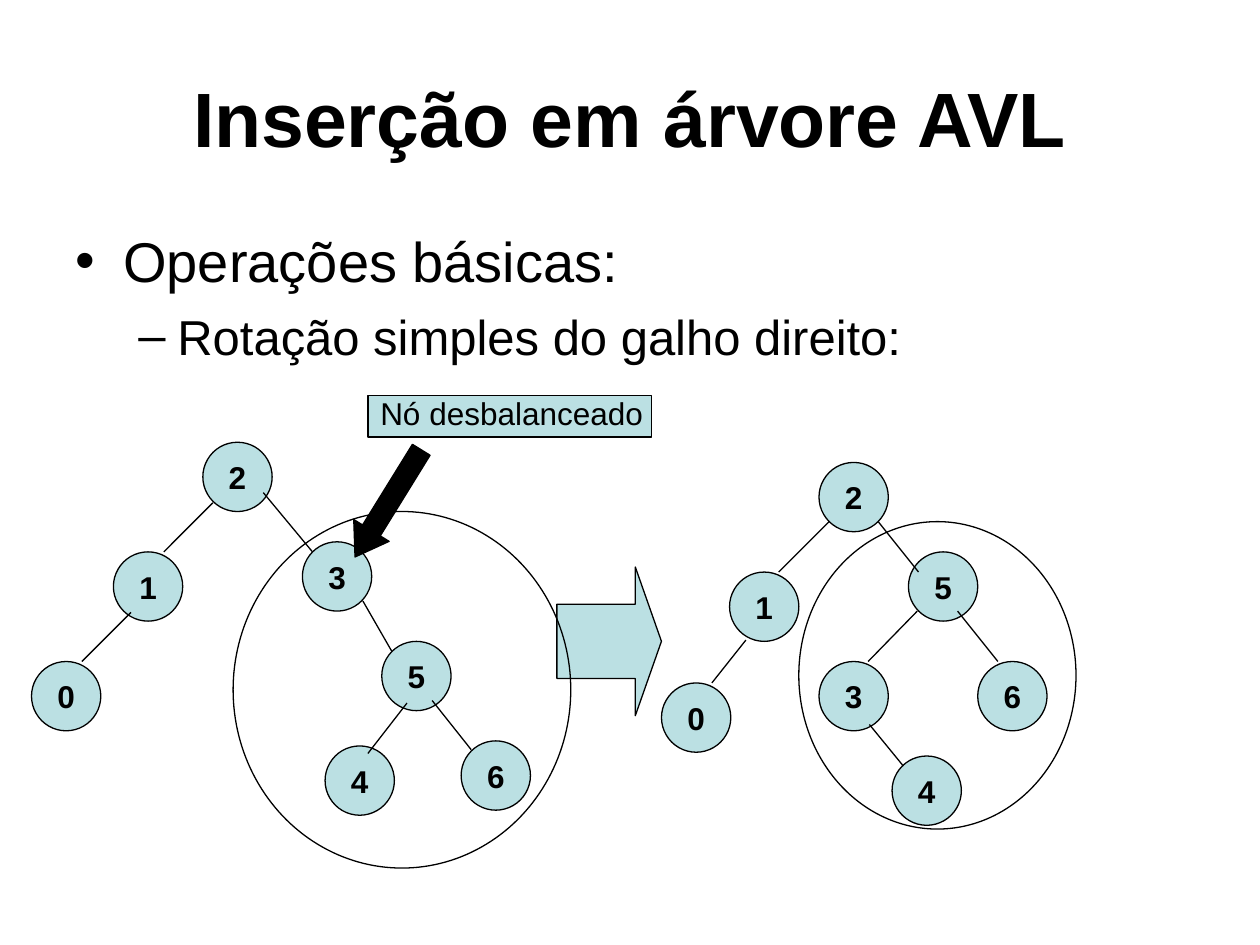
"""Build a slide showing a simple rotation of the right branch of an AVL tree."""
from dataclasses import dataclass

from lxml.etree import SubElement
from pptx import Presentation
from pptx.dml.color import RGBColor
from pptx.enum.shapes import MSO_CONNECTOR, MSO_SHAPE
from pptx.enum.text import MSO_ANCHOR, MSO_AUTO_SIZE, PP_ALIGN
from pptx.oxml.ns import qn
from pptx.util import Inches, Pt


@dataclass(frozen=True)
class Theme:
    font: str = "Arial"
    ink: RGBColor = RGBColor(0, 0, 0)
    accent: RGBColor = RGBColor(0xBB, 0xE0, 0xE3)
    title: int = 44
    bullet: int = 32
    subbullet: int = 28
    label: int = 18
    stroke: float = 0.75


theme = Theme()
deck = Presentation()
deck.slide_width, deck.slide_height = Inches(10), Inches(7.5)
column, row = deck.slide_width / 10, deck.slide_height / 7.5
page = deck.slides.add_slide(deck.slide_layouts[5])


def write(para, text, size=theme.label, bold=False, align=PP_ALIGN.LEFT, before=0):
    span = para.add_run()
    span.text = text
    span.font.name, span.font.size, span.font.bold = theme.font, Pt(size), bold
    span.font.color.rgb = theme.ink
    para.alignment, para.space_before = align, Pt(before)


def draw(kind, left, top, width, height, fill=None):
    shape = page.shapes.add_shape(
        kind, int(left * column), int(top * row), int(width * column), int(height * row)
    )
    shape.shadow.inherit = False
    shape.line.color.rgb, shape.line.width = theme.ink, Pt(theme.stroke)
    if fill is None:
        shape.fill.background()
    else:
        shape.fill.solid()
        shape.fill.fore_color.rgb = fill
    return shape


title = page.shapes.title
title.left, title.top = int(0.5 * column), int(0.3 * row)
title.width, title.height = int(9 * column), int(1.25 * row)
title.text_frame.auto_size = MSO_AUTO_SIZE.NONE
title.text_frame.vertical_anchor = MSO_ANCHOR.MIDDLE
write(title.text_frame.paragraphs[0], "Inserção em árvore AVL",
      size=theme.title, bold=True, align=PP_ALIGN.CENTER)

body = page.shapes.add_textbox(
    int(0.5 * column), int(1.75 * row), int(9 * column), int(4.95 * row)
).text_frame
body.word_wrap = True
bullets = [
    ("Operações básicas:", theme.bullet, 8, "•", 0.38, 0.38),
    ("Rotação simples do galho direito:", theme.subbullet, 7, "–", 0.81, 0.31),
]
for level, (text, size, before, mark, margin, hanging) in enumerate(bullets):
    para = body.add_paragraph() if level else body.paragraphs[0]
    write(para, text, size=size, before=before)
    para.level = level
    properties = para._p.get_or_add_pPr()
    properties.set("marL", str(int(margin * column)))
    properties.set("indent", str(int(-hanging * column)))
    SubElement(properties, qn("a:buFont"), typeface=theme.font)
    SubElement(properties, qn("a:buChar"), char=mark)

step_arrow = draw(MSO_SHAPE.RIGHT_ARROW, 4.42, 4.5, 0.83, 1.18, fill=theme.accent)
step_arrow.adjustments[0], step_arrow.adjustments[1] = 0.5, 0.25

node_size = 0.55
unbalanced_tree = [
    ("3", 2.4, 4.3), ("5", 3.03, 5.09), ("6", 3.66, 5.88), ("1", 0.9, 4.38),
    ("2", 1.61, 3.51), ("4", 2.58, 5.92), ("0", 0.25, 5.25),
]
rotated_tree = [
    ("3", 6.5, 5.25), ("5", 7.21, 4.38), ("6", 7.76, 5.25), ("1", 5.79, 4.54),
    ("2", 6.5, 3.67), ("4", 7.08, 6), ("0", 5.25, 5.42),
]
for key, left, top in unbalanced_tree + rotated_tree:
    node = draw(MSO_SHAPE.OVAL, left, top, node_size, node_size, fill=theme.accent)
    node.text_frame.word_wrap = False
    node.text_frame.vertical_anchor = MSO_ANCHOR.MIDDLE
    write(node.text_frame.paragraphs[0], key, bold=True, align=PP_ALIGN.CENTER)

unbalanced_edges = [
    (2.88, 4.77, 3.11, 5.17), (3.43, 5.56, 3.74, 5.95), (1.69, 3.99, 1.3, 4.38),
    (2.09, 3.91, 2.48, 4.38), (3.23, 5.58, 2.92, 5.98), (1.04, 4.86, 0.65, 5.25),
]
rotated_edges = [
    (7.6, 4.85, 7.92, 5.25), (7.28, 4.85, 6.89, 5.25), (6.58, 4.14, 6.18, 4.54),
    (6.97, 4.14, 7.29, 4.54), (6.9, 5.75, 7.17, 6.08), (5.92, 5.08, 5.65, 5.42),
]
for start_x, start_y, end_x, end_y in unbalanced_edges + rotated_edges:
    edge = page.shapes.add_connector(
        MSO_CONNECTOR.STRAIGHT, int(start_x * column), int(start_y * row),
        int(end_x * column), int(end_y * row)
    )
    edge.line.color.rgb, edge.line.width = theme.ink, Pt(theme.stroke)
    SubElement(edge._element.spPr, qn("a:effectLst"))

for ring in [(1.85, 4.06, 2.68, 2.83), (6.34, 4.14, 2.2, 2.44)]:
    draw(MSO_SHAPE.OVAL, *ring)

pointer = draw(MSO_SHAPE.RIGHT_ARROW, 2.58, 3.83, 1, 0.33, fill=theme.ink)
pointer.adjustments[0], pointer.adjustments[1] = 0.5, 0.75
pointer.rotation = 121.7

draw(MSO_SHAPE.RECTANGLE, 2.92, 3.14, 2.25, 0.33, fill=theme.accent)
caption = page.shapes.add_textbox(
    int(2.92 * column), int(3.08 * row), int(2.4 * column), int(0.4 * row)
).text_frame
caption.word_wrap = True
write(caption.paragraphs[0], "Nó desbalanceado")

deck.save("out.pptx")
